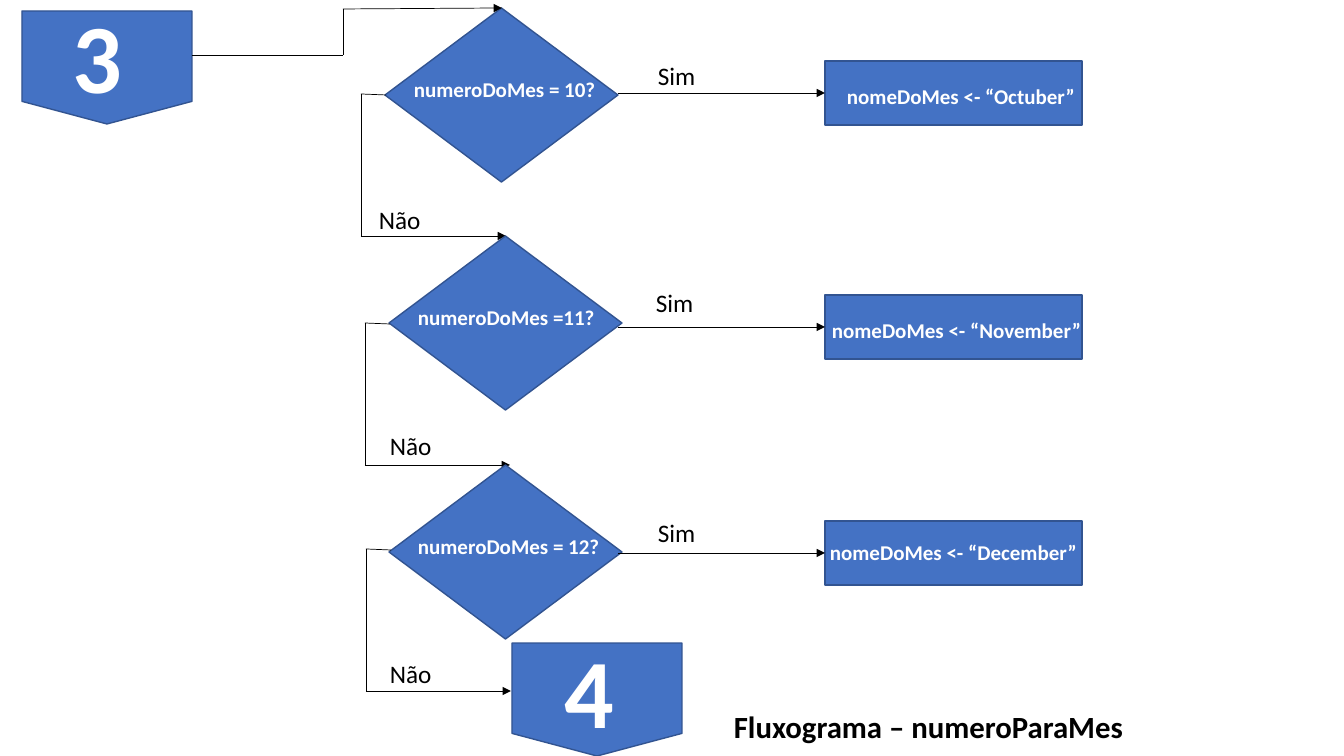
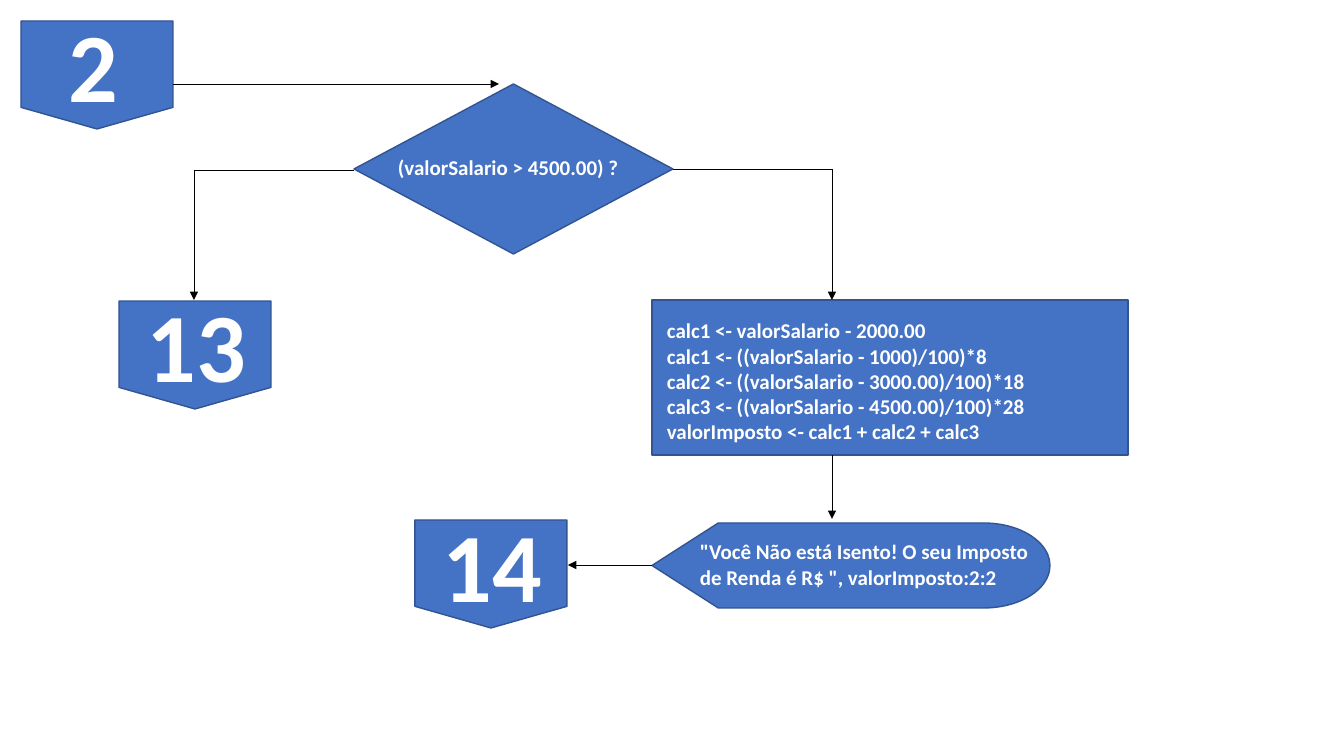
from dataclasses import dataclass
from itertools import pairwise

from lxml import etree
from pptx import Presentation
from pptx import util as u
from pptx.dml.color import RGBColor
from pptx.enum import shapes, text
from pptx.oxml.ns import qn
from pptx.slide import Slide

EMU_PER_PX = 12192000 / 1344
KIND = shapes.MSO_SHAPE
OFFPAGE = KIND.FLOWCHART_OFFPAGE_CONNECTOR
Point = tuple[int, int]
Box = tuple[int, int, int, int]


@dataclass(frozen=True)
class TextStyle:
    size: int
    color: RGBColor
    bold: bool = True


@dataclass(frozen=True)
class Theme:
    font: str = "Calibri"
    fill: RGBColor = RGBColor(0x44, 0x72, 0xC4)
    border: RGBColor = RGBColor(0x32, 0x54, 0x91)
    ink: RGBColor = RGBColor(0, 0, 0)
    border_pt: float = 1
    flow_pt: float = 0.5
    code: TextStyle = TextStyle(15, RGBColor(255, 255, 255))
    number: TextStyle = TextStyle(70, RGBColor(255, 255, 255))
    branch: TextStyle = TextStyle(18, RGBColor(0, 0, 0), False)
    title: TextStyle = TextStyle(22, RGBColor(0, 0, 0))


THEME = Theme()


@dataclass(frozen=True)
class Node:
    """A flowchart symbol with its caption in a box of its own."""
    kind: KIND
    box: Box
    caption: str
    caption_box: Box
    style: TextStyle = THEME.code


@dataclass(frozen=True)
class MonthStep:
    """One month test: its diamond, assignment and two branches."""
    question: str
    diamond: Point
    action: str
    action_top: int
    action_caption: Box
    yes_label: Point
    no_label: Point
    no_start: Point


MONTH_STEPS = [
    MonthStep("numeroDoMes = 10?", (385, 8), "nomeDoMes <- “Octuber”", 61,
              (837, 79, 261, 35), (648, 55), (369, 199), (386, 95)),
    MonthStep("numeroDoMes =11?", (389, 236), "nomeDoMes <- “November”", 295,
              (822, 313, 272, 35), (646, 282), (380, 425), (390, 324)),
    MonthStep("numeroDoMes = 12?", (389, 465), "nomeDoMes <- “December”", 521,
              (820, 535, 284, 35), (648, 512), (380, 653), (391, 550)),
]
MONTH_PAGES = [
    Node(OFFPAGE, (22, 11, 170, 113), "3", (63, -9, 138, 129), THEME.number),
    Node(OFFPAGE, (512, 643, 170, 113), "4", (555, 626, 138, 129), THEME.number),
]

TAX_FORMULAS = "\n".join([
    "calc1 <- valorSalario - 2000.00",
    "calc1 <- ((valorSalario - 1000)/100)*8",
    "calc2 <- ((valorSalario - 3000.00)/100)*18",
    "calc3 <- ((valorSalario - 4500.00)/100)*28",
    "valorImposto <- calc1 + calc2 + calc3",
])
TAX_MESSAGE = '"Você Não está Isento! O seu Imposto de Renda é R$ ", valorImposto:2:2'
TAX_NODES = [
    Node(OFFPAGE, (21, 21, 152, 108), "2", (59, 0, 156, 129), THEME.number),
    Node(KIND.DIAMOND, (354, 84, 319, 170), "(valorSalario > 4500.00) ?",
         (388, 150, 292, 35)),
    Node(KIND.FLOWCHART_PROCESS, (652, 300, 476, 155), TAX_FORMULAS,
         (657, 313, 471, 137)),
    Node(KIND.FLOWCHART_DISPLAY, (652, 523, 398, 85), TAX_MESSAGE,
         (690, 534, 360, 61)),
    Node(OFFPAGE, (119, 301, 152, 108), "13", (137, 280, 156, 129), THEME.number),
    Node(OFFPAGE, (415, 520, 152, 108), "14", (433, 500, 156, 129), THEME.number),
]
TAX_ROUTES: list[list[Point]] = [
    [(173, 84), (499, 84)],
    [(354, 170), (194, 170), (194, 300)],
    [(673, 169), (832, 169), (832, 300)],
    [(832, 455), (832, 519)],
    [(652, 565), (568, 565)],
]


def px(*lengths: int) -> list[u.Emu]:
    """Turn pixel lengths into EMU."""
    return [u.Emu(round(n * EMU_PER_PX)) for n in lengths]


def add_label(s: Slide, content: str, box: Box, style: TextStyle) -> None:
    """Write text, one paragraph a line, in a text box."""
    tf = s.shapes.add_textbox(*px(*box)).text_frame
    tf.text = content
    tf.word_wrap = True
    tf.auto_size = text.MSO_AUTO_SIZE.SHAPE_TO_FIT_TEXT
    for p in tf.paragraphs:
        p.font.name = THEME.font
        p.font.size = u.Pt(style.size)
        p.font.bold = style.bold
        p.font.color.rgb = style.color


def add_node(s: Slide, node: Node) -> None:
    """Draw a flowchart symbol and its caption."""
    sp = s.shapes.add_shape(node.kind, *px(*node.box))
    sp.shadow.inherit = False
    sp.fill.solid()
    sp.fill.fore_color.rgb = THEME.fill
    sp.line.color.rgb = THEME.border
    sp.line.width = u.Pt(THEME.border_pt)
    add_label(s, node.caption, node.caption_box, node.style)


def add_route(s: Slide, points: list[Point]) -> None:
    """Draw straight lines through the points, with an arrowhead at the end."""
    for start, end in pairwise(points):
        line = s.shapes.add_connector(shapes.MSO_CONNECTOR.STRAIGHT,
                                      *px(*start, *end))
        line.line.color.rgb = THEME.ink
        line.line.width = u.Pt(THEME.flow_pt)
        sp_pr = line._element.spPr
        etree.SubElement(sp_pr, qn("a:effectLst"))
    etree.SubElement(sp_pr.find(qn("a:ln")), qn("a:tailEnd"), type="triangle")


def add_month_step(s: Slide, step: MonthStep) -> None:
    """Draw a month test with its yes and no branches."""
    left, top = step.diamond
    add_node(s, Node(KIND.DIAMOND, (left, top, 233, 174), step.question,
                     (left + 19, top + 64, 233, 35)))
    add_node(s, Node(KIND.FLOWCHART_PROCESS, (825, step.action_top, 257, 64),
                     step.action, step.action_caption))
    middle = step.action_top + 32
    add_route(s, [(618, middle), (825, middle)])
    x, y = step.no_start
    turn, bottom = x - 25, y + 141
    add_route(s, [(x, y), (turn, y - 1), (turn, bottom), (turn + 145, bottom)])
    add_label(s, "Sim", (*step.yes_label, 104, 40), THEME.branch)
    add_label(s, "Não", (*step.no_label, 152, 40), THEME.branch)


def build_month_slide(s: Slide) -> None:
    """Draw the flowchart from month number to month name."""
    for step in MONTH_STEPS:
        add_month_step(s, step)
    for page in MONTH_PAGES:
        add_node(s, page)
    add_route(s, [(192, 55), (343, 55), (343, 9), (502, 8)])
    add_label(s, "Fluxograma – numeroParaMes", (724, 703, 596, 47), THEME.title)


def build_tax_slide(s: Slide) -> None:
    """Draw the income tax flowchart."""
    for node in TAX_NODES:
        add_node(s, node)
    for route in TAX_ROUTES:
        add_route(s, route)


def main() -> None:
    """Build and save the presentation."""
    prs = Presentation()
    prs.slide_width, prs.slide_height = px(1344, 756)
    for build in (build_month_slide, build_tax_slide):
        build(prs.slides.add_slide(prs.slide_layouts[6]))
    prs.save("out.pptx")


main()
